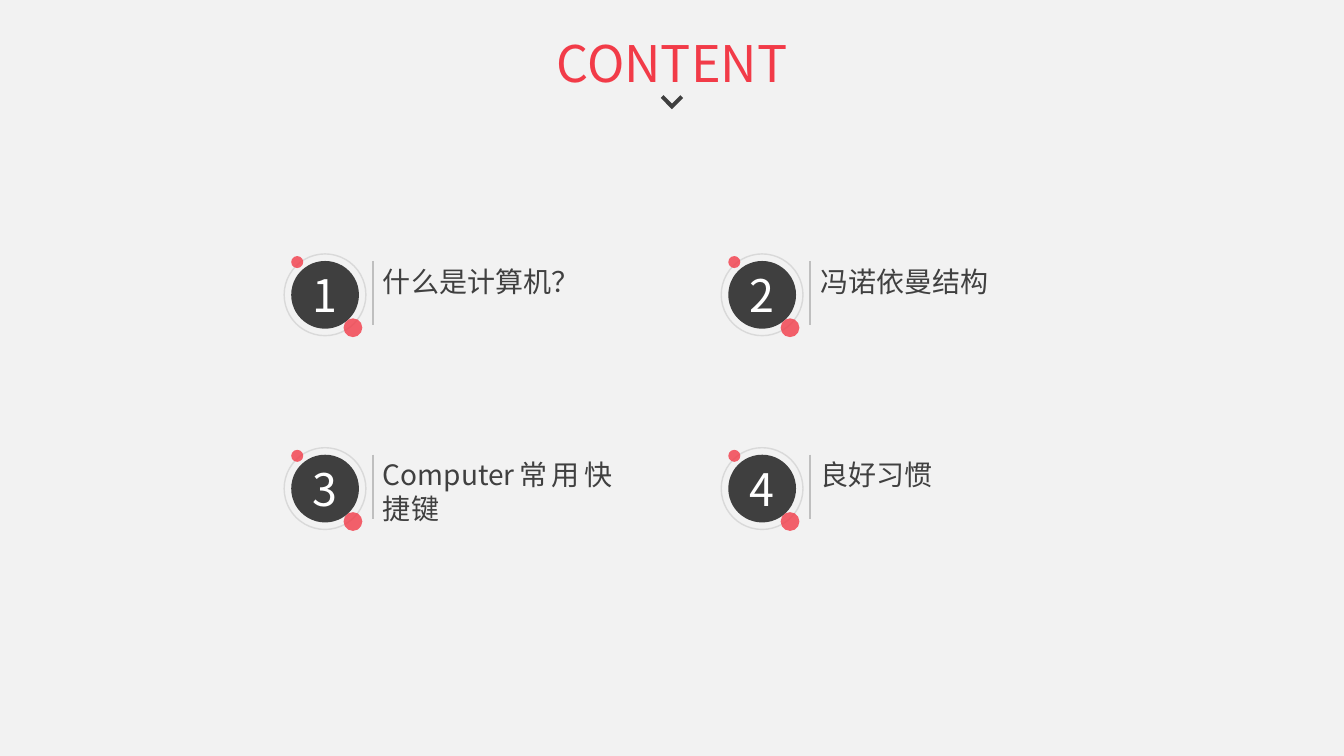
from pptx import Presentation
from pptx.dml.color import RGBColor
from pptx.enum.shapes import MSO_CONNECTOR as Connector, MSO_SHAPE as Shape
from pptx.enum.text import MSO_ANCHOR as Anchor, MSO_AUTO_SIZE as AutoSize, PP_ALIGN as Align
from pptx.oxml.ns import qn
from pptx.util import Pt
from lxml.etree import SubElement

FONT = "Noto Sans CJK SC"
BACKGROUND = RGBColor(0xF2, 0xF2, 0xF2)
RED = RGBColor(0xF2, 0x3B, 0x48)
DARK = RGBColor(0x3F, 0x3F, 0x3F)
TEXT = RGBColor(0x40, 0x40, 0x40)
WHITE = RGBColor(0xFF, 0xFF, 0xFF)
RING = RGBColor(0xD9, 0xD9, 0xD9)
DIVIDER = RGBColor(0xBF, 0xBF, 0xBF)


def apply(target, values):
    for name, value in values.items():
        setattr(target, name, value)


class ContentSlide:
    """Holds the slide and its style; each method adds one kind of element."""

    def __init__(self, presentation):
        self.slide = presentation.slides.add_slide(presentation.slide_layouts[5])
        fill = self.slide.background.fill
        fill.solid()
        fill.fore_color.rgb = BACKGROUND

    def set_text(self, shape, text, size, color, align, frame_format, spacing=None):
        frame = shape.text_frame
        apply(frame, {"auto_size": AutoSize.NONE, **frame_format})
        paragraph = frame.paragraphs[0]
        apply(paragraph, {"alignment": align, "line_spacing": spacing})
        run = paragraph.add_run()
        run.text = text
        apply(run.font, {"name": FONT, "size": Pt(size)})
        run.font.color.rgb = color
        SubElement(run.font._element, qn("a:ea"), typeface=FONT)

    def title(self, text, left, top, width, height):
        title = self.slide.shapes.title
        apply(title, {"left": Pt(left), "top": Pt(top),
                      "width": Pt(width), "height": Pt(height)})
        self.set_text(title, text, 36, RED, Align.CENTER,
                      {"vertical_anchor": Anchor.TOP, "margin_top": Pt(5.5)}, Pt(44))

    def chevron(self, points):
        builder = self.slide.shapes.build_freeform(*points[0], scale=Pt(1))
        builder.add_line_segments(points[1:], close=True)
        self.paint(builder.convert_to_shape(), fill=DARK)

    def paint(self, shape, fill=None, line=None, opacity=None):
        shape.shadow.inherit = False
        if fill is None:
            shape.fill.background()
        else:
            shape.fill.solid()
            shape.fill.fore_color.rgb = fill
        if opacity is not None:
            color = shape._element.spPr.find(qn("a:solidFill"))[0]
            SubElement(color, qn("a:alpha"), val=str(opacity * 1000))
        if line is None:
            shape.line.fill.background()
        else:
            shape.line.color.rgb = line
            shape.line.width = Pt(1)

    def circle(self, group, left, top, size, **style):
        shape = group.shapes.add_shape(Shape.OVAL, Pt(left), Pt(top), Pt(size), Pt(size))
        self.paint(shape, **style)
        return shape

    def label(self, group, text, left, top, width, height):
        box = group.shapes.add_textbox(Pt(left), Pt(top), Pt(width), Pt(height))
        self.set_text(box, text, 20, TEXT, Align.JUSTIFY,
                      {"word_wrap": True, "margin_top": Pt(5.5)}, Pt(24.3))

    def divider(self, group, x, top, bottom):
        line = group.shapes.add_connector(Connector.STRAIGHT, Pt(x), Pt(top), Pt(x), Pt(bottom))
        line.line.color.rgb = DIVIDER
        line.line.width = Pt(1)
        SubElement(line._element.spPr, qn("a:effectLst"))

    def item(self, number, text, left, top, label_height):
        group = self.slide.shapes.add_group_shape()
        disc = self.circle(group, left + 5, top + 5, 48.4, fill=DARK)
        self.set_text(disc, str(number), 32, WHITE, Align.CENTER,
                      {"vertical_anchor": Anchor.MIDDLE, "word_wrap": False, "margin_left": 0,
                       "margin_right": 0, "margin_top": 0, "margin_bottom": 0})
        self.circle(group, left, top, 58.4, line=RING)
        self.circle(group, left + 42.4, top + 46, 13.4, fill=RED, opacity=80)
        self.circle(group, left + 5, top + 1.5, 8.6, fill=RED, opacity=80)
        self.label(group, text, left + 63.5, top + 1.5, 177.8, label_height)
        self.divider(group, left + 63.5, top + 5, top + 51)


presentation = Presentation()
apply(presentation, {"slide_width": Pt(960), "slide_height": Pt(540)})
content = ContentSlide(presentation)

# Heading with chevron
content.title("CONTENT", 377, 16.5, 206, 51)
content.chevron([(486.4, 68.2), (488, 69.8), (480, 77.6),
                 (472, 69.8), (473.6, 68.2), (480, 74.5)])

# Numbered topics in a two-column grid
topics = [("什么是计算机？", 32), ("冯诺依曼结构", 32),
          ("Computer常用快捷键", 55.5), ("良好习惯", 32)]
for index, (topic, label_height) in enumerate(topics):
    row, column = divmod(index, 2)
    content.item(index + 1, topic, 203 + column * 312.2, 181.4 + row * 138.4, label_height)

presentation.save("out.pptx")
